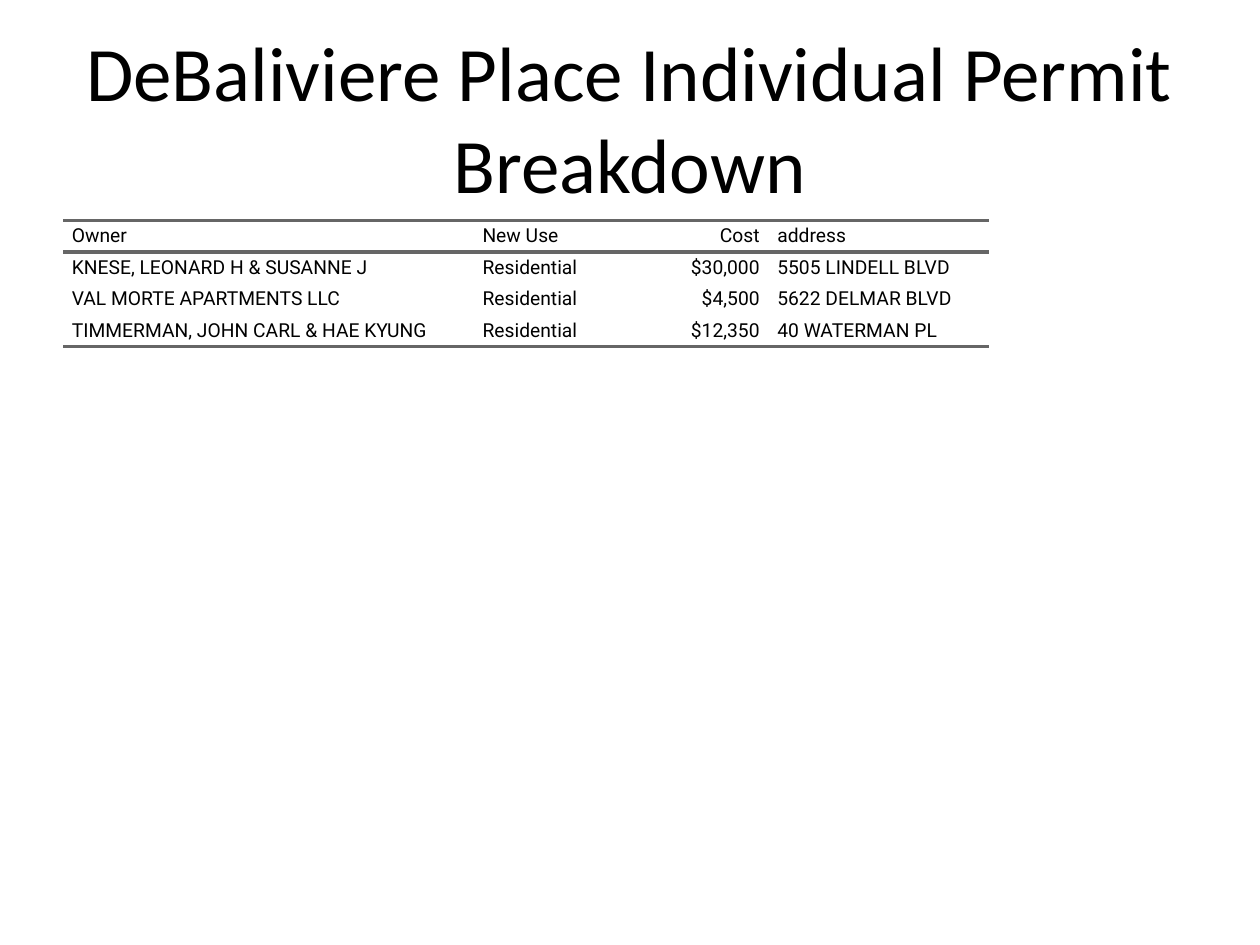
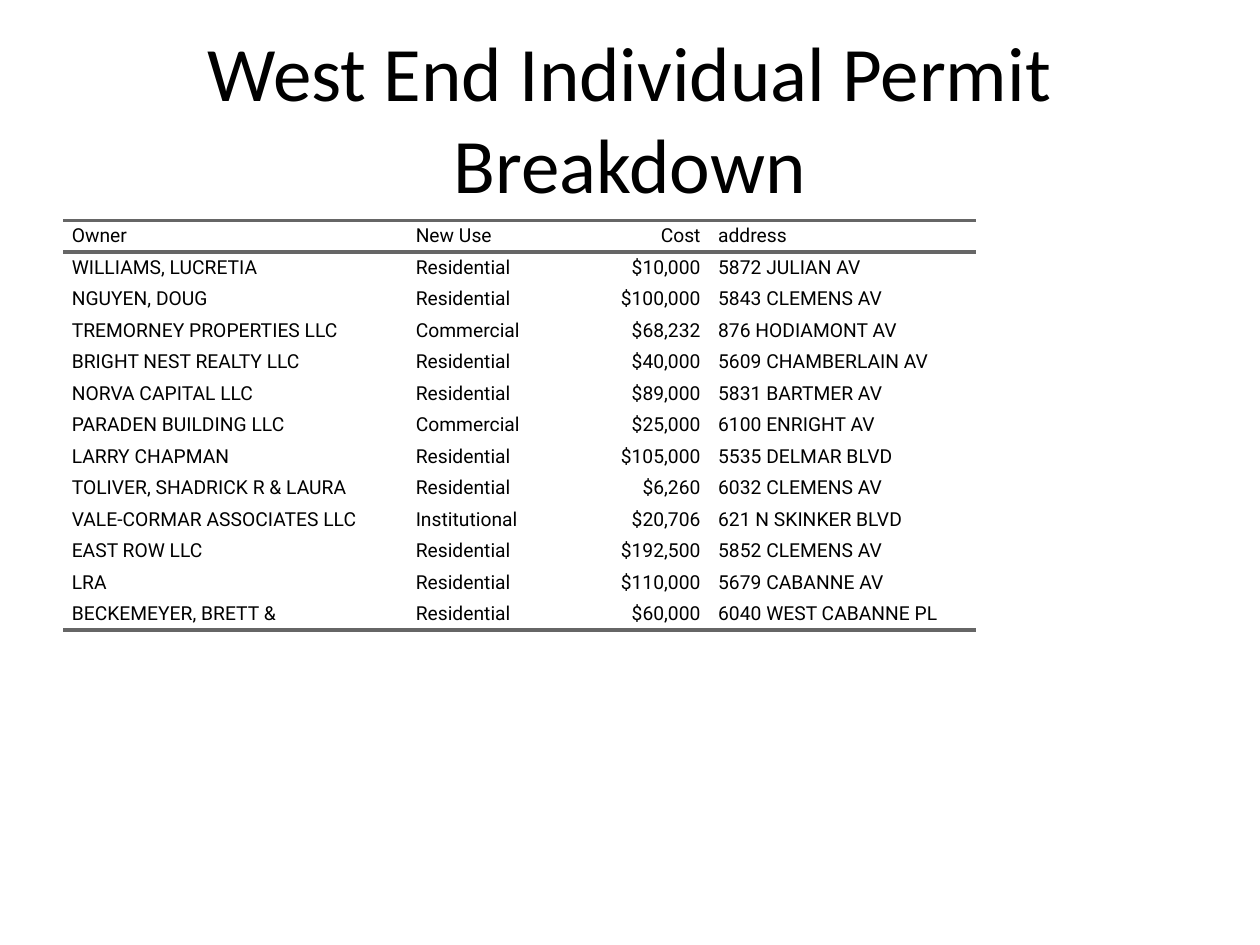
from lxml import etree
from pptx import Presentation
from pptx.dml.color import RGBColor
from pptx.enum.text import MSO_ANCHOR, PP_ALIGN
from pptx.oxml.ns import qn
from pptx.util import Inches, Pt

BLACK = RGBColor(0x00, 0x00, 0x00)
RULE_GRAY = RGBColor(0x66, 0x66, 0x66)
TITLE_FONT, TABLE_FONT = "Calibri", "Roboto"
LEFT, CENTER, RIGHT = PP_ALIGN.LEFT, PP_ALIGN.CENTER, PP_ALIGN.RIGHT
MIDDLE = MSO_ANCHOR.MIDDLE
PLAIN_TABLE_STYLE = "{2D5ABB26-0587-4C30-8999-92F81FD0307C}"

MARGIN = 0.5
ROW_HEIGHT = 0.25
CELL_PADDING = 0.07
RULE_WIDTH = 2
HEADERS = ("Owner", "New Use", "Cost", "address")
COST_COLUMN = HEADERS.index("Cost")

SLIDES = [
    ("DeBaliviere Place Individual Permit Breakdown", (3.26, 1.04, 1.3, 1.75), [
        ("KNESE, LEONARD H & SUSANNE J", "Residential", "$30,000", "5505 LINDELL BLVD"),
        ("VAL MORTE APARTMENTS LLC", "Residential", "$4,500", "5622 DELMAR BLVD"),
        ("TIMMERMAN, JOHN CARL & HAE KYUNG", "Residential", "$12,350", "40 WATERMAN PL"),
    ]),
    ("West End Individual Permit Breakdown", (2.73, 1.1, 1.3, 2.12), [
        ("WILLIAMS, LUCRETIA", "Residential", "$10,000", "5872 JULIAN AV"),
        ("NGUYEN, DOUG", "Residential", "$100,000", "5843 CLEMENS AV"),
        ("TREMORNEY PROPERTIES LLC", "Commercial", "$68,232", "876 HODIAMONT AV"),
        ("BRIGHT NEST REALTY LLC", "Residential", "$40,000", "5609 CHAMBERLAIN AV"),
        ("NORVA CAPITAL LLC", "Residential", "$89,000", "5831 BARTMER AV"),
        ("PARADEN BUILDING LLC", "Commercial", "$25,000", "6100 ENRIGHT AV"),
        ("LARRY CHAPMAN", "Residential", "$105,000", "5535 DELMAR BLVD"),
        ("TOLIVER, SHADRICK R & LAURA", "Residential", "$6,260", "6032 CLEMENS AV"),
        ("VALE-CORMAR ASSOCIATES LLC", "Institutional", "$20,706", "621 N SKINKER BLVD"),
        ("EAST ROW LLC", "Residential", "$192,500", "5852 CLEMENS AV"),
        ("LRA", "Residential", "$110,000", "5679 CABANNE AV"),
        ("BECKEMEYER, BRETT &", "Residential", "$60,000", "6040 WEST CABANNE PL"),
    ]),
]


def format_paragraph(paragraph, font_name, size, alignment):
    paragraph.alignment = alignment
    font = paragraph.runs[0].font
    font.name = font_name
    font.size = Pt(size)
    font.color.rgb = BLACK


def add_rules(cell, sides):
    """Draw gray rules on the given sides ("T", "B") of a cell, top first."""
    properties = cell._tc.get_or_add_tcPr()
    for position, side in enumerate(sides):
        line = etree.Element(qn(f"a:ln{side}"), w=str(Pt(RULE_WIDTH)))
        fill = etree.SubElement(line, qn("a:solidFill"))
        etree.SubElement(fill, qn("a:srgbClr"), val=str(RULE_GRAY))
        properties.insert(position, line)


presentation = Presentation()
presentation.slide_width = Inches(10)
presentation.slide_height = Inches(7.5)
blank_layout = presentation.slide_layouts[6]

for title, column_widths, permits in SLIDES:
    slide = presentation.slides.add_slide(blank_layout)

    title_box = slide.shapes.add_textbox(Inches(MARGIN), Inches(0.3), Inches(9), Inches(1.25))
    title_frame = title_box.text_frame
    title_frame.word_wrap = True
    title_frame.vertical_anchor = MIDDLE
    title_frame.text = title
    format_paragraph(title_frame.paragraphs[0], TITLE_FONT, 44, CENTER)

    rows = [HEADERS, *permits]
    table_shape = slide.shapes.add_table(
        len(rows), len(HEADERS), Inches(MARGIN), Inches(1.75),
        Inches(sum(column_widths)), Inches(ROW_HEIGHT * len(rows)))
    table_shape.element.find(".//" + qn("a:tableStyleId")).text = PLAIN_TABLE_STYLE
    table = table_shape.table
    table.horz_banding = False
    for column, width in zip(table.columns, column_widths):
        column.width = Inches(width)

    for row_index, values in enumerate(rows):
        table.rows[row_index].height = Inches(ROW_HEIGHT)
        for column_index, value in enumerate(values):
            cell = table.cell(row_index, column_index)
            cell.margin_left = cell.margin_right = Inches(CELL_PADDING)
            cell.margin_top = cell.margin_bottom = 0
            cell.vertical_anchor = MIDDLE
            cell.fill.background()
            cell.text_frame.text = value
            alignment = RIGHT if column_index == COST_COLUMN else LEFT
            format_paragraph(cell.text_frame.paragraphs[0], TABLE_FONT, 11, alignment)
            if row_index == 0:
                add_rules(cell, "TB")
            elif row_index == len(rows) - 1:
                add_rules(cell, "B")

presentation.save("out.pptx")
